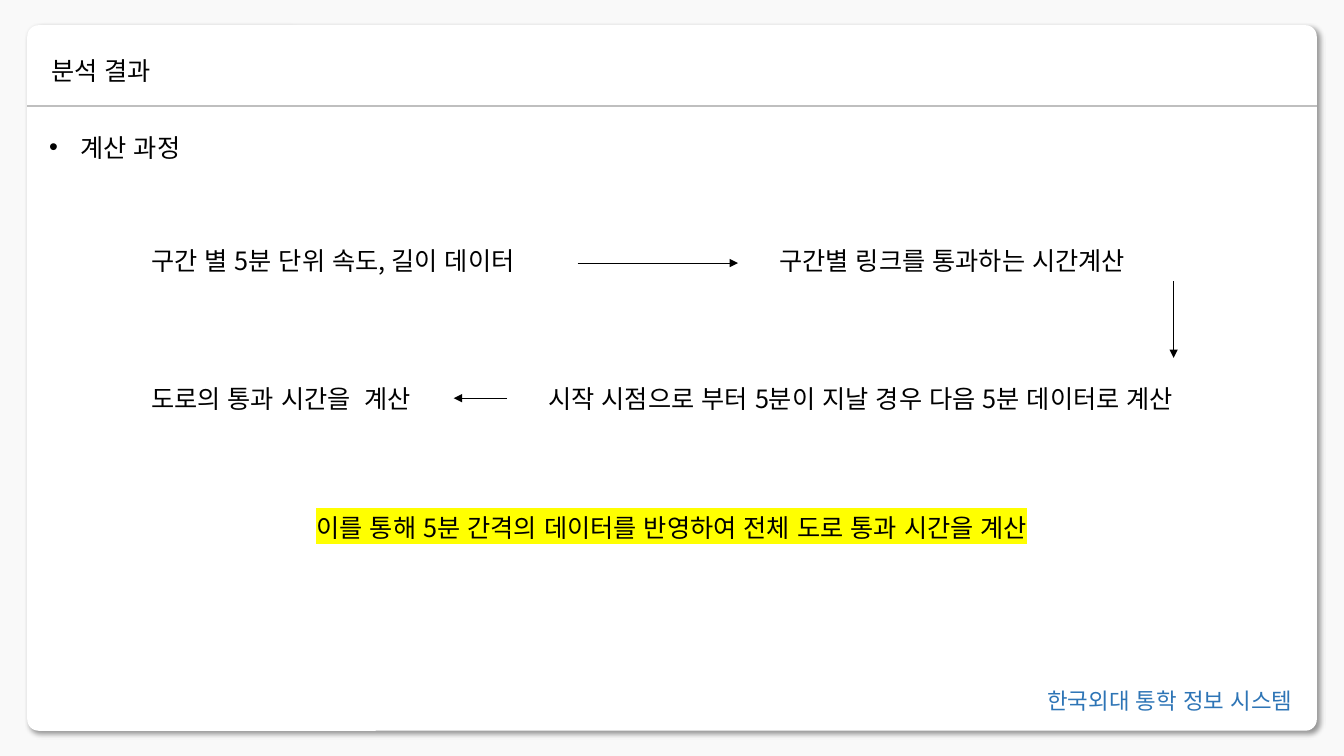
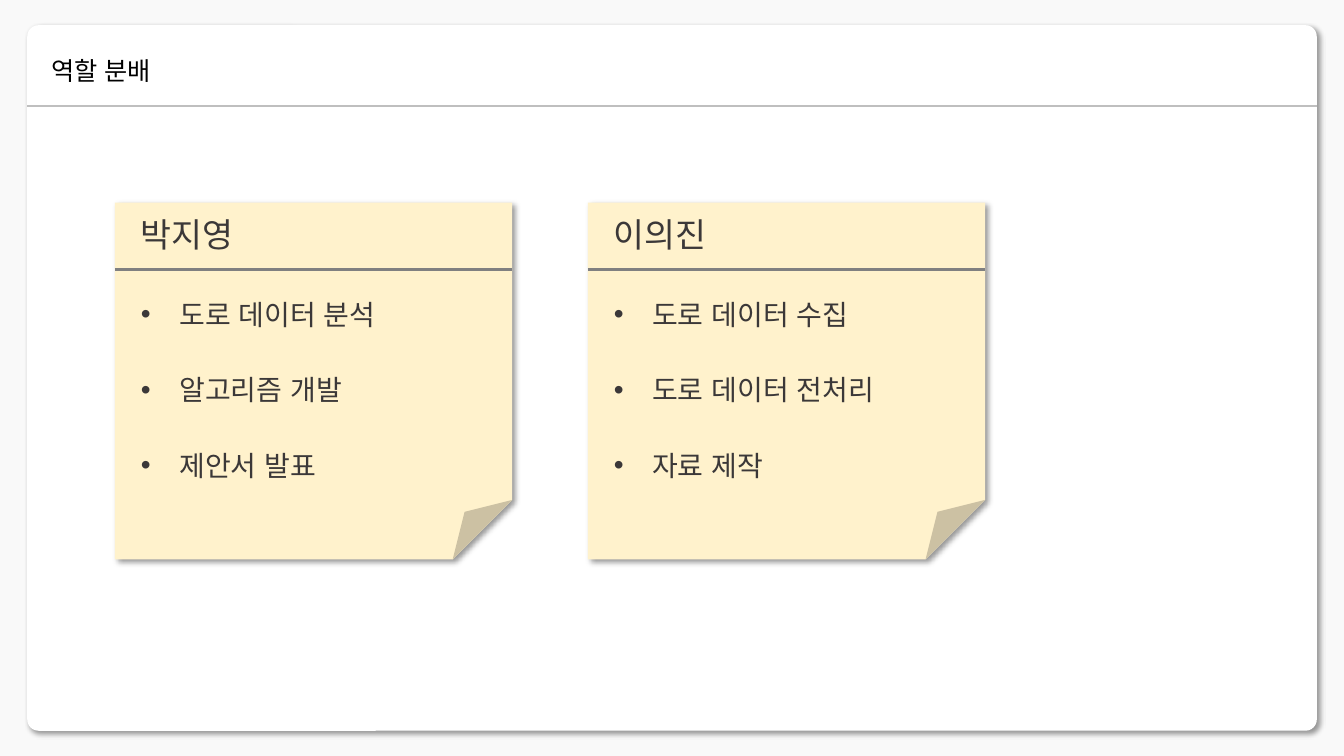
from lxml.etree import SubElement
from pptx import Presentation
from pptx.dml.color import RGBColor
from pptx.enum.lang import MSO_LANGUAGE_ID
from pptx.enum.shapes import MSO_CONNECTOR, MSO_SHAPE
from pptx.enum.text import MSO_AUTO_SIZE
from pptx.oxml.ns import qn
from pptx.util import Inches, Pt

FONT = "Noto Sans CJK KR"
BACKDROP = RGBColor(0xF9, 0xF9, 0xF9)
WHITE = RGBColor(0xFF, 0xFF, 0xFF)
BLACK = RGBColor(0x00, 0x00, 0x00)
RULE_GRAY = RGBColor(0xBF, 0xBF, 0xBF)
NOTE_RULE = RGBColor(0x80, 0x80, 0x80)
NOTE_YELLOW = RGBColor(0xFF, 0xF2, 0xCC)
NOTE_TEXT = RGBColor(0x3B, 0x38, 0x38)
FOOTER_BLUE = RGBColor(0x2E, 0x75, 0xB6)
HIGHLIGHT = RGBColor(0xFF, 0xFF, 0x00)

CARD_LEFT, CARD_TOP, CARD_WIDTH, CARD_HEIGHT = 0.27, 0.25, 12.79, 7
TITLE_RULE_TOP = 1.05
LINE_HEIGHTS = {16: 0.37, 18: 0.4, 20: 0.44, 24: 0.5}

RESULT_TITLE = "분석 결과"
RESULT_TOPIC = "계산 과정"
RESULT_FOOTER = "한국외대 통학 정보 시스템"
STEPS = [
    ("구간 별 5분 단위 속도, 길이 데이터", 1.4, 2.38, 3.93),
    ("구간별 링크를 통과하는 시간계산", 7.63, 2.38, 3.81),
    ("시작 시점으로 부터 5분이 지날 경우 다음 5분 데이터로 계산", 5.34, 3.75, 6.4),
    ("도로의 통과 시간을  계산", 1.4, 3.75, 2.85),
]
ARROWS = [
    ((5.73, 2.61), (7.32, 2.61)),
    ((11.64, 2.79), (11.64, 3.55)),
    ((5.03, 3.95), (4.5, 3.95)),
]
CONCLUSION = "이를 통해 5분 간격의 데이터를 반영하여 전체 도로 통과 시간을 계산"

ROLES_TITLE = "역할 분배"
ROLES = [
    ("박지영", ["도로 데이터 분석", "알고리즘 개발", "제안서 발표"]),
    ("이의진", ["도로 데이터 수집", "도로 데이터 전처리", "자료 제작"]),
]
NOTE_LEFT, NOTE_TOP, NOTE_WIDTH, NOTE_HEIGHT = 1.14, 2.01, 3.94, 3.54
NOTE_PITCH = 4.69
NOTE_INSET = 0.16
TASK_TOP, TASK_PITCH = 2.9, 0.75


def add_panel(slide, preset, left, top, width, height, color):
    panel = slide.shapes.add_shape(
        preset, Inches(left), Inches(top), Inches(width), Inches(height))
    panel.fill.solid()
    panel.fill.fore_color.rgb = color
    panel.line.fill.background()
    panel.shadow.inherit = False
    effects = panel._element.spPr.find(qn("a:effectLst"))
    shadow = SubElement(effects, qn("a:outerShdw"), blurRad=str(Pt(4)), dist=str(Pt(3)),
                        dir="2700000", algn="tl", rotWithShape="0")
    shade = SubElement(shadow, qn("a:srgbClr"), val=str(BLACK))
    SubElement(shade, qn("a:alpha"), val="40000")
    return panel


def add_rule(slide, start, end, color, weight, arrow=False):
    rule = slide.shapes.add_connector(
        MSO_CONNECTOR.STRAIGHT, *(Inches(value) for value in (*start, *end)))
    rule.line.color.rgb = color
    rule.line.width = Pt(weight)
    if arrow:
        SubElement(rule.line._get_or_add_ln(), qn("a:tailEnd"), type="triangle")
    SubElement(rule._element.spPr, qn("a:effectLst"))


def add_text(slide, text, left, top, width, size=18, color=BLACK, indent=0, highlight=None):
    box = slide.shapes.add_textbox(
        Inches(left), Inches(top), Inches(width), Inches(LINE_HEIGHTS[size]))
    frame = box.text_frame
    frame.word_wrap = True
    frame.auto_size = MSO_AUTO_SIZE.SHAPE_TO_FIT_TEXT
    paragraph = frame.paragraphs[0]
    run = paragraph.add_run()
    run.text = text
    properties = paragraph._p.get_or_add_pPr()
    if indent:
        properties.set("marL", str(Inches(indent)))
        properties.set("indent", str(-Inches(indent)))
        SubElement(properties, qn("a:buFont"), typeface="Arial")
        SubElement(properties, qn("a:buChar"), char="•")
    paragraph.font.size = Pt(size)
    paragraph.font.color.rgb = color
    paragraph.font.name = FONT
    paragraph.font.language_id = MSO_LANGUAGE_ID.KOREAN
    SubElement(properties.find(qn("a:defRPr")), qn("a:ea"), typeface=FONT)
    if highlight:
        marker = SubElement(run._r.get_or_add_rPr(), qn("a:highlight"))
        SubElement(marker, qn("a:srgbClr"), val=str(highlight))


def add_card_slide(deck, title):
    slide = deck.slides.add_slide(deck.slide_layouts[6])
    slide.background.fill.solid()
    slide.background.fill.fore_color.rgb = BACKDROP
    card = add_panel(slide, MSO_SHAPE.ROUNDED_RECTANGLE,
                     CARD_LEFT, CARD_TOP, CARD_WIDTH, CARD_HEIGHT, WHITE)
    card.adjustments[0] = 0.016
    add_text(slide, title, 0.41, 0.5, 5.3)
    add_rule(slide, (CARD_LEFT, TITLE_RULE_TOP),
             (CARD_LEFT + CARD_WIDTH, TITLE_RULE_TOP), RULE_GRAY, 1.25)
    return slide


def build_result(deck):
    slide = add_card_slide(deck, RESULT_TITLE)
    add_text(slide, RESULT_FOOTER, 10.29, 6.77, 2.75, size=16, color=FOOTER_BLUE)
    add_text(slide, RESULT_TOPIC, 0.39, 1.26, 5.3, indent=0.31)
    for text, left, top, width in STEPS:
        add_text(slide, text, left, top, width)
    for start, end in ARROWS:
        add_rule(slide, start, end, BLACK, 0.5, arrow=True)
    add_text(slide, CONCLUSION, 3.04, 5.03, 7.53, highlight=HIGHLIGHT)


def build_roles(deck):
    slide = add_card_slide(deck, ROLES_TITLE)
    for column, (member, tasks) in enumerate(ROLES):
        left = NOTE_LEFT + column * NOTE_PITCH
        text_left = left + NOTE_INSET
        text_width = NOTE_WIDTH - 2 * NOTE_INSET
        add_panel(slide, MSO_SHAPE.FOLDED_CORNER,
                  left, NOTE_TOP, NOTE_WIDTH, NOTE_HEIGHT, NOTE_YELLOW)
        add_text(slide, member, text_left, 2.07, text_width, size=24, color=NOTE_TEXT)
        add_rule(slide, (left, 2.67), (left + NOTE_WIDTH, 2.67), NOTE_RULE, 2.25)
        for row, task in enumerate(tasks):
            add_text(slide, task, text_left, TASK_TOP + row * TASK_PITCH, text_width,
                     size=20, color=NOTE_TEXT, indent=0.38)


def main():
    deck = Presentation()
    deck.slide_width = Inches(13.33)
    deck.slide_height = Inches(7.5)
    build_result(deck)
    build_roles(deck)
    deck.save("out.pptx")


if __name__ == "__main__":
    main()
